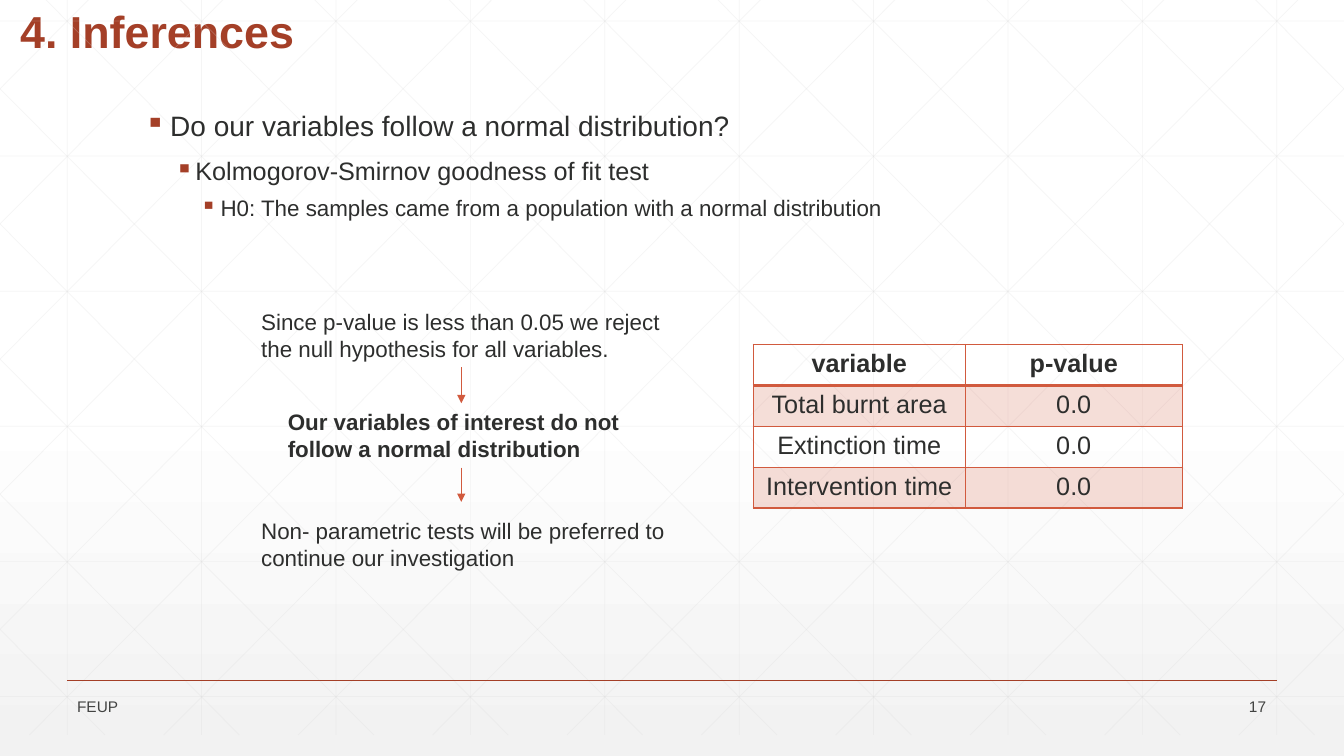
from pptx import Presentation
from pptx.dml.color import RGBColor
from pptx.enum.shapes import MSO_CONNECTOR
from pptx.enum.text import MSO_ANCHOR, PP_ALIGN
from pptx.oxml import parse_xml
from pptx.oxml.ns import nsdecls, qn
from pptx.util import Pt

STRAIGHT = MSO_CONNECTOR.STRAIGHT
TOP, MIDDLE, BOTTOM = MSO_ANCHOR.TOP, MSO_ANCHOR.MIDDLE, MSO_ANCHOR.BOTTOM
LEFT, CENTER, RIGHT = PP_ALIGN.LEFT, PP_ALIGN.CENTER, PP_ALIGN.RIGHT

FONT = "Arial"
COLORS = {
    "rust": "A43F27",
    "orange": "D15A3E",
    "text": "2D2E2D",
    "footer": "424342",
    "grid": "D9D9D9",
    "white": "FFFFFF",
    "shade": "F2F2F2",
}

TITLE = "4. Inferences"
# text, size, space before, indent, bullet width
BULLETS = [
    ("Do our variables follow a normal distribution?", 20, 18, 18, 18),
    ("Kolmogorov-Smirnov goodness of fit test", 18, 12, 36, 14.4),
    ("H0: The samples came from a population with a normal distribution", 16, 8, 54, 14.4),
]
# text, left, top, width, bold
REASONING = [
    ("Since p-value is less than 0.05 we reject the null hypothesis for all variables.",
     179.5, 216.5, 300, False),
    ("Our variables of interest do not follow a normal distribution",
     198.5, 288, 262, True),
    ("Non- parametric tests will be preferred to continue our investigation",
     179.5, 366, 307.5, False),
]
P_VALUES = [
    ("variable", "p-value"),
    ("Total burnt area", "0.0"),
    ("Extinction time", "0.0"),
    ("Intervention time", "0.0"),
]
# text, left, width, alignment
FOOTERS = [("FEUP", 48, 482.5, LEFT), ("17", 839.5, 72, RIGHT)]

SLIDE_WIDTH, SLIDE_HEIGHT = 960, 540
GRID_TOP, GRID_BOTTOM = -15, 525
GRID_STEP = 96
DIAGONAL_RUN = 537
REASONING_HEIGHT = 46
ARROW_END = 358.5
COLUMN_WIDTHS = (151.5, 155)
ROW_HEIGHT = 29.25


def rgb(name):
    return RGBColor.from_string(COLORS[name])


def set_alpha(element, percent):
    color = element.find(".//" + qn("a:srgbClr"))
    color.append(parse_xml(f'<a:alpha {nsdecls("a")} val="{percent * 1000}"/>'))


def add_line(slide, start, end, color, width):
    line = slide.shapes.add_connector(STRAIGHT, *(Pt(value) for value in start + end))
    line.line.color.rgb = rgb(color)
    line.line.width = Pt(width)
    properties = line.element.spPr
    properties.append(parse_xml(f'<a:effectLst {nsdecls("a")}/>'))
    return line


def add_arrow(slide, start, end):
    arrow = add_line(slide, start, end, "orange", 0.5)
    outline = arrow.element.spPr.find(qn("a:ln"))
    outline.append(parse_xml(f'<a:tailEnd {nsdecls("a")} type="triangle"/>'))
    return arrow


def style(paragraph, size, color="text", bold=False, alignment=LEFT):
    font = paragraph.font
    font.name, font.size, font.bold = FONT, Pt(size), bold
    font.color.rgb = rgb(color)
    paragraph.alignment = alignment


def add_text_box(slide, left, top, width, height, anchor=TOP):
    box = slide.shapes.add_textbox(Pt(left), Pt(top), Pt(width), Pt(height))
    box.text_frame.word_wrap = True
    box.text_frame.vertical_anchor = anchor
    return box


def add_background(slide):
    fill = slide.background.fill
    fill.gradient()
    fill.gradient_angle = 270
    for stop, color, position in zip(fill.gradient_stops, ("white", "shade"), (0.53, 1)):
        stop.color.rgb = rgb(color)
        stop.position = position


def grid_lines():
    """Yield the ends of the upright, level and mirrored diagonal grid lines."""
    for index in range(10):
        x = 48 + GRID_STEP * index
        yield (x, GRID_TOP), (x, GRID_BOTTOM)
    for index in range(6):
        y = 15 + 96.5 * index
        yield (0, y), (SLIDE_WIDTH, y)
    slope = (GRID_BOTTOM - GRID_TOP) / DIAGONAL_RUN
    for index in range(-5, 10):
        first = 18 + GRID_STEP * index
        clipped = (max(first, 0), min(first + DIAGONAL_RUN, SLIDE_WIDTH))
        start, end = ((x, GRID_TOP + (x - first) * slope) for x in clipped)
        yield start, end
        yield (SLIDE_WIDTH - start[0], start[1]), (SLIDE_WIDTH - end[0], end[1])


def add_title(slide):
    title = slide.shapes.title
    title.left, title.top, title.width, title.height = Pt(7.2), Pt(-44.5), Pt(756), Pt(90)
    title.text_frame.text = TITLE
    title.text_frame.vertical_anchor = BOTTOM
    paragraph = title.text_frame.paragraphs[0]
    paragraph.line_spacing = 0.9
    style(paragraph, 32, "rust", True)


def add_bullets(slide):
    frame = add_text_box(slide, 96.5, 76.5, 756, 132).text_frame
    for index, (text, size, space, indent, bullet_width) in enumerate(BULLETS):
        paragraph = frame.paragraphs[0] if index == 0 else frame.add_paragraph()
        paragraph.text = text
        paragraph.level = index
        paragraph.line_spacing = 0.9
        paragraph.space_before = Pt(space)
        style(paragraph, size)
        properties = paragraph._p.get_or_add_pPr()
        properties.set("marL", str(Pt(indent)))
        properties.set("indent", str(-Pt(bullet_width)))
        bullet = parse_xml(f'<a:buChar {nsdecls("a")} char="▪"/>')
        properties.find(qn("a:defRPr")).addprevious(bullet)
        bullet.addprevious(parse_xml(
            f'<a:buClr {nsdecls("a")}><a:srgbClr val="{COLORS["rust"]}"/></a:buClr>'))


def add_reasoning(slide):
    boxes = []
    for text, left, top, width, bold in REASONING:
        box = add_text_box(slide, left, top, width, REASONING_HEIGHT)
        box.text_frame.text = text
        style(box.text_frame.paragraphs[0], 16, bold=bold)
        boxes.append(box)
    reason, finding, _ = boxes
    center = REASONING[1][1] + REASONING[1][3] / 2
    first_arrow = add_arrow(slide, (center, 262.5), (center, 288))
    first_arrow.begin_connect(reason, 2)
    first_arrow.end_connect(finding, 0)
    second_arrow = add_arrow(slide, (center, 334), (center, ARROW_END))
    second_arrow.begin_connect(finding, 2)


def set_borders(cell, widths):
    properties = cell._tc.get_or_add_tcPr()
    for index, (side, width) in enumerate(zip("LRTB", widths)):
        properties.insert(index, parse_xml(
            f'<a:ln{side} {nsdecls("a")} w="{Pt(width)}"><a:solidFill>'
            f'<a:srgbClr val="{COLORS["orange"]}"/></a:solidFill></a:ln{side}>'))


def add_p_values(slide):
    frame = slide.shapes.add_table(
        len(P_VALUES), len(COLUMN_WIDTHS), Pt(538), Pt(246),
        Pt(sum(COLUMN_WIDTHS)), Pt(ROW_HEIGHT * len(P_VALUES)))
    table = frame.table
    for column, width in zip(table.columns, COLUMN_WIDTHS):
        column.width = Pt(width)
    for row_index, values in enumerate(P_VALUES):
        table.rows[row_index].height = Pt(ROW_HEIGHT)
        for column_index, value in enumerate(values):
            cell = table.cell(row_index, column_index)
            cell.text = value
            style(cell.text_frame.paragraphs[0], 18, bold=row_index == 0, alignment=CENTER)
            if row_index % 2:
                cell.fill.solid()
                cell.fill.fore_color.rgb = rgb("orange")
                set_alpha(cell._tc.tcPr, 20)
            else:
                cell.fill.background()
            set_borders(cell, (1, 1, 2 if row_index == 1 else 1, 2 if row_index == 0 else 1))


def main():
    presentation = Presentation()
    presentation.slide_width, presentation.slide_height = Pt(SLIDE_WIDTH), Pt(SLIDE_HEIGHT)
    slide = presentation.slides.add_slide(presentation.slide_layouts[5])
    add_background(slide)
    for start, end in grid_lines():
        set_alpha(add_line(slide, start, end, "grid", 0.5).element.spPr, 25)
    add_line(slide, (48, 486), (912, 486), "rust", 1)
    add_title(slide)
    add_bullets(slide)
    for text, left, width, alignment in FOOTERS:
        frame = add_text_box(slide, left, 495.5, width, 17.5, MIDDLE).text_frame
        frame.text = text
        style(frame.paragraphs[0], 11, "footer", alignment=alignment)
    add_p_values(slide)
    add_reasoning(slide)
    presentation.save("out.pptx")


if __name__ == "__main__":
    main()
